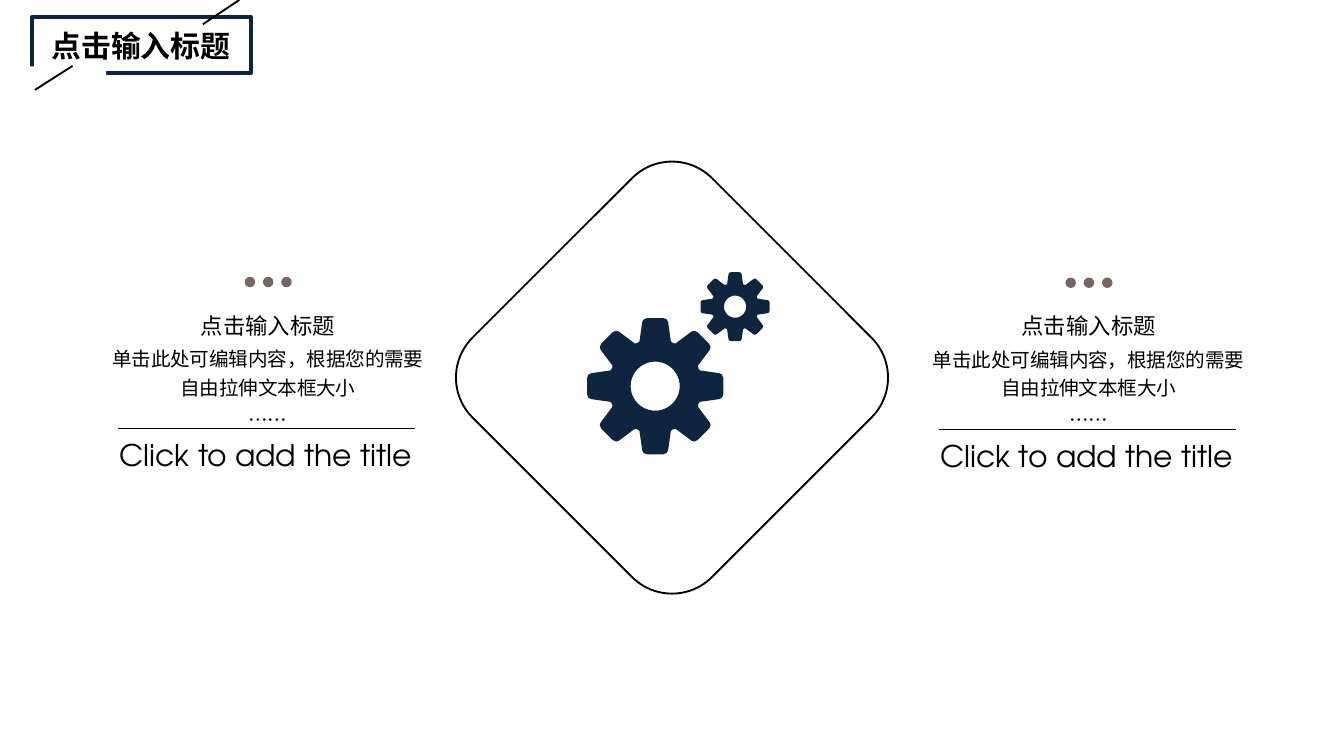
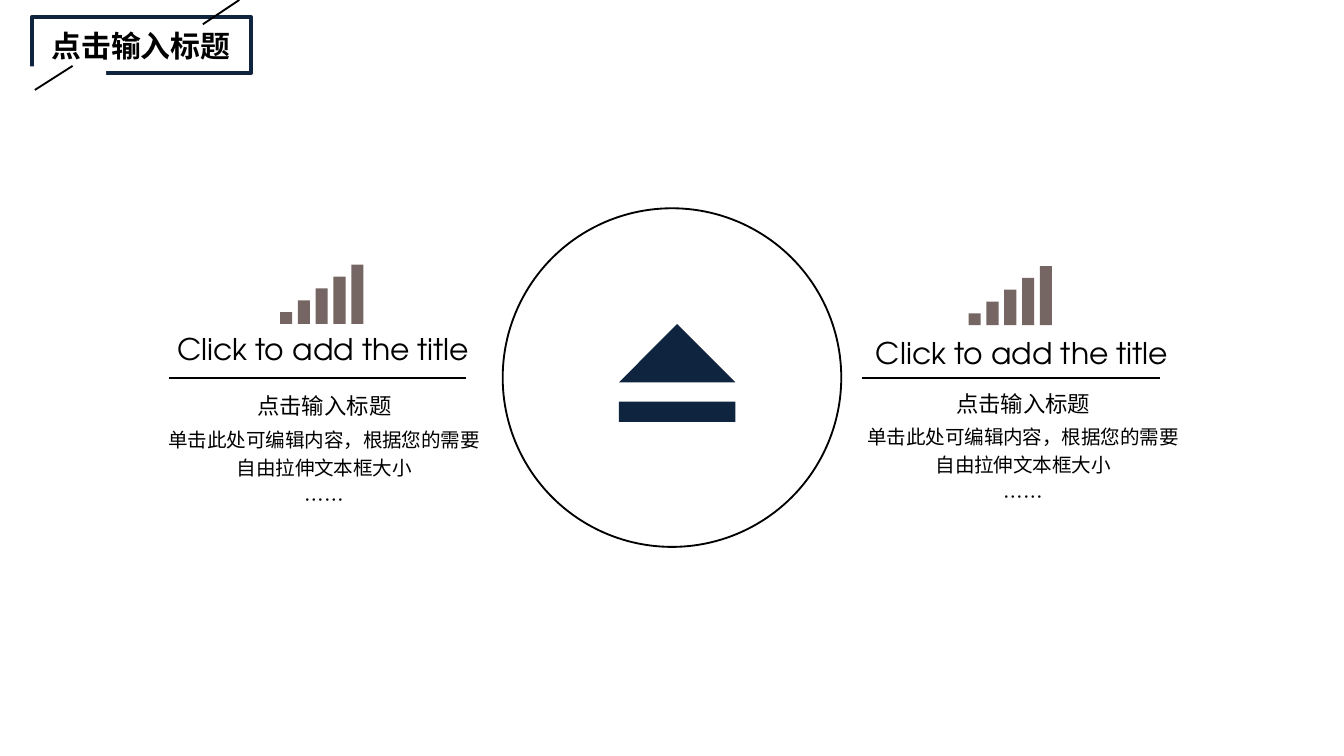
from math import cos, pi, sin

from lxml import etree
from pptx import Presentation
from pptx.dml.color import RGBColor
from pptx.enum import shapes, text
from pptx.oxml import ns
from pptx.util import Pt

NAVY = RGBColor(0x0F, 0x24, 0x3E)
TAUPE = RGBColor(0x75, 0x66, 0x63)
BLACK = RGBColor(0, 0, 0)
WHITE = RGBColor(255, 255, 255)

TITLE_FONT = "Arial"
HEADING_FONT = "TeX Gyre Adventor"
BODY_FONT = "Noto Sans CJK SC"

TITLE = "点击输入标题"
HEADING = "Click to add the title"
BODY = ((TITLE, 12), ("单击此处可编辑内容，根据您的需要自由拉伸文本框大小", 10.5), ("……", 10.5))

CENTRE_BOX = (269.3, 111.6, 181.4)
RULE_WIDTH = 159.5
BODY_WIDTH = 172
HALF_TOOTH = ((0.12, 1), (0.17, 0.98), (0.19, 0.94), (0.23, 0.66), (0.25, 0.64))


def paint(shape, fill=None, line=None, line_width=1):
    shape.shadow.inherit = False
    if fill is None:
        shape.fill.background()
    else:
        shape.fill.solid()
        shape.fill.fore_color.rgb = fill
    if line is None:
        shape.line.fill.background()
    else:
        shape.line.color.rgb = line
        shape.line.width = Pt(line_width)


def add_figure(slide, kind, left, top, width, height, **style):
    shape = slide.shapes.add_shape(kind, Pt(left), Pt(top), Pt(width), Pt(height))
    paint(shape, **style)
    return shape


def add_rectangle(slide, left, top, width, height, **style):
    return add_figure(slide, shapes.MSO_SHAPE.RECTANGLE, left, top, width, height, **style)


def add_line(slide, start, end, width):
    points = [Pt(value) for value in (*start, *end)]
    connector = slide.shapes.add_connector(shapes.MSO_CONNECTOR.STRAIGHT, *points)
    connector.line.color.rgb = BLACK
    connector.line.width = Pt(width)
    etree.SubElement(connector._element.spPr, ns.qn("a:effectLst"))


def add_outline(slide, contours, fill):
    contours = [[(Pt(x), Pt(y)) for x, y in contour] for contour in contours]
    builder = slide.shapes.build_freeform(*contours[0][0], scale=1.0)
    builder.add_line_segments(contours[0][1:], close=True)
    for contour in contours[1:]:
        builder.move_to(*contour[0])
        builder.add_line_segments(contour[1:], close=True)
    paint(builder.convert_to_shape(), fill=fill)


def add_text(slide, lines, left, top, width, height, font, bold=False,
             align=text.PP_ALIGN.LEFT, inset=None, line_spacing=None, space_before=0):
    box = slide.shapes.add_textbox(Pt(left), Pt(top), Pt(width), Pt(height))
    frame = box.text_frame
    frame.word_wrap = True
    frame.auto_size = text.MSO_AUTO_SIZE.SHAPE_TO_FIT_TEXT
    if inset is not None:
        frame.margin_left = frame.margin_right = Pt(inset)
        frame.margin_top = frame.margin_bottom = Pt(inset)
    for index, (words, size) in enumerate(lines):
        paragraph = frame.add_paragraph() if index else frame.paragraphs[0]
        paragraph.alignment = align
        if line_spacing:
            paragraph.line_spacing = line_spacing
        if space_before:
            paragraph.space_before = Pt(size * space_before)
        run = paragraph.add_run()
        run.text = words
        run.font.size = Pt(size)
        run.font.bold = bold
        run.font.color.rgb = BLACK
        run.font.name = font
        etree.SubElement(run._r.rPr, ns.qn("a:ea"), typeface=font)


def add_heading(slide, left, top):
    add_text(slide, [(HEADING, 16)], left, top, 178, 26.6, HEADING_FONT)


def add_body(slide, left, top):
    add_text(slide, BODY, left, top, BODY_WIDTH, 68.4, BODY_FONT,
             align=text.PP_ALIGN.CENTER, inset=0, line_spacing=1.2, space_before=0.2)


def add_rule(slide, left, top):
    add_line(slide, (left, top), (left + RULE_WIDTH, top), 0.75)


def add_title_frame(slide, left, top):
    add_rectangle(slide, left, top, 117.4, 30.2, line=NAVY, line_width=2)
    add_rectangle(slide, left - 17, top + 26.6, 56.9, 5.8, fill=WHITE)
    add_line(slide, (left + 111.2, top - 9), (left + 91.7, top + 4), 1)
    add_line(slide, (left + 21.9, top + 26.3), (left + 1.7, top + 39.2), 1)
    add_text(slide, [(TITLE, 16)], left - 20.6, top + 2.5, 158.4, 26.6, TITLE_FONT,
             bold=True, align=text.PP_ALIGN.CENTER)


def add_gear(slide, left, top, size, hole):
    radius = size / 2
    centre_x, centre_y = left + radius, top + radius
    tooth = [(-x, y) for x, y in reversed(HALF_TOOTH)] + list(HALF_TOOTH)
    rim = []
    for angle in (index * pi / 4 for index in range(8)):
        for across, along in tooth:
            x = across * cos(angle) + along * sin(angle)
            y = across * sin(angle) - along * cos(angle)
            rim.append((centre_x + radius * x, centre_y + radius * y))
    bore = [(centre_x + radius * hole * cos(step * pi / 24),
             centre_y - radius * hole * sin(step * pi / 24)) for step in range(48)]
    add_outline(slide, [rim, bore], NAVY)


def add_gear_diamond(slide, left, top, size):
    diamond = add_figure(slide, shapes.MSO_SHAPE.ROUNDED_RECTANGLE, left, top, size, size, line=BLACK)
    diamond.rotation = 45
    add_gear(slide, left + 106, top + 34.2, 37, 0.32)
    add_gear(slide, left + 45.2, top + 58.8, 73, 0.36)


def add_eject_circle(slide, left, top, size):
    add_figure(slide, shapes.MSO_SHAPE.OVAL, left, top, size, size, line=BLACK)
    icon_left, icon_top, icon_width = left + 62.3, top + 62, 62.4
    base = icon_top + icon_width / 2
    triangle = [(icon_left + icon_width / 2, icon_top), (icon_left, base), (icon_left + icon_width, base)]
    add_outline(slide, [triangle], NAVY)
    add_rectangle(slide, icon_left, icon_top + 41.6, icon_width, 10.8, fill=NAVY)


def add_dotted_column(slide, left, top):
    for index in range(3):
        add_figure(slide, shapes.MSO_SHAPE.OVAL, left + 73.5 + index * 9.8, top, 5.6, 5.6, fill=TAUPE)
    add_body(slide, left, top + 15.9)
    add_rule(slide, left + 5.5, top + 81.4)
    add_heading(slide, left - 0.6, top + 82)


def add_bars(slide, left, bottom):
    for index in range(5):
        height = 6.35 * (index + 1)
        add_rectangle(slide, left + index * 9.55, bottom - height, 6.5, height, fill=TAUPE)


def add_bar_column(slide, left, top, bars_left, bars_bottom, heading_top, rule_left, body_top):
    add_bars(slide, left + bars_left, top + bars_bottom)
    add_heading(slide, left, top + heading_top)
    add_rule(slide, left + rule_left, top + 60.5)
    add_body(slide, left, top + body_top)


def add_slide(presentation):
    slide = presentation.slides.add_slide(presentation.slide_layouts[6])
    add_title_frame(slide, 17, 9)
    return slide


def build_gear_slide(presentation):
    slide = add_slide(presentation)
    add_gear_diamond(slide, *CENTRE_BOX)
    add_dotted_column(slide, 57.6, 148.3)
    add_dotted_column(slide, 497.3, 148.7)


def build_eject_slide(presentation):
    slide = add_slide(presentation)
    add_bar_column(slide, 87.8, 142, bars_left=62.2, bars_bottom=31.6,
                   heading_top=31.5, rule_left=2.5, body_top=65.4)
    add_bar_column(slide, 462.2, 142, bars_left=56.7, bars_bottom=32.3,
                   heading_top=33.7, rule_left=-0.3, body_top=63.9)
    add_eject_circle(slide, *CENTRE_BOX)


def main():
    presentation = Presentation()
    presentation.slide_width = Pt(720)
    presentation.slide_height = Pt(405)
    build_gear_slide(presentation)
    build_eject_slide(presentation)
    presentation.save("out.pptx")


if __name__ == "__main__":
    main()
